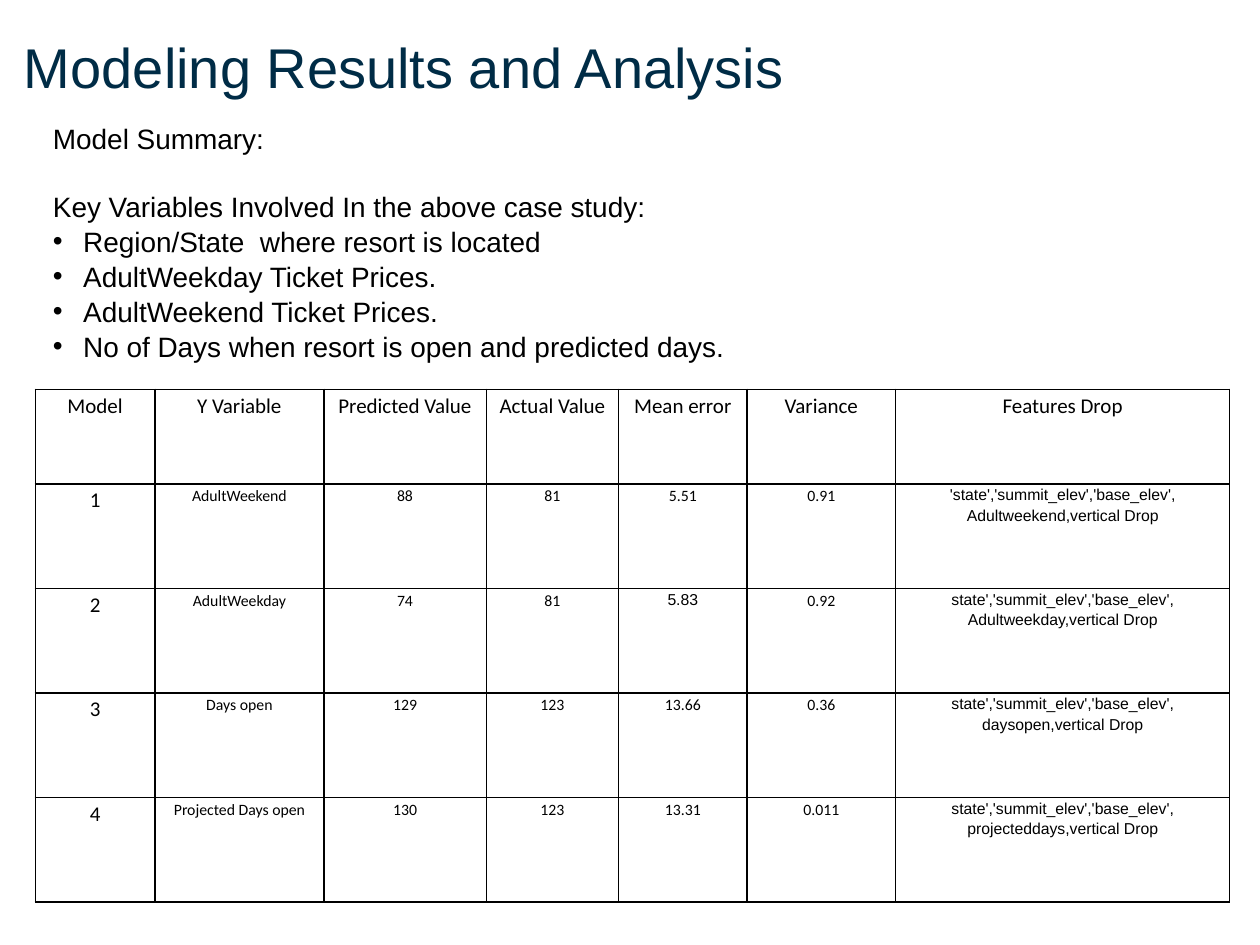
from lxml.etree import SubElement
from pptx import Presentation
from pptx.dml.color import RGBColor
from pptx.enum.text import MSO_ANCHOR, MSO_AUTO_SIZE, PP_ALIGN
from pptx.oxml.ns import qn
from pptx.util import Inches, Pt

NAVY = RGBColor(0x00, 0x2C, 0x46)
BLACK = RGBColor(0x00, 0x00, 0x00)

HEADINGS = ["Model Summary:", "Key Variables Involved In the above case study:"]
VARIABLES = [
    "Region/State  where resort is located",
    "AdultWeekday Ticket Prices.",
    "AdultWeekend Ticket Prices.",
    "No of Days when resort is open and predicted days.",
]
COLUMN_WIDTHS = [0.95, 1.34, 1.29, 1.05, 1.02, 1.18, 2.65]
ROW_HEIGHTS = [0.75] + [0.83] * 4
ELEVATIONS = "state','summit_elev','base_elev',"
RESULTS = [
    ["Model", "Y Variable", "Predicted Value", "Actual Value", "Mean error",
     "Variance", "Features Drop"],
    ["1", "AdultWeekend", "88", "81", "5.51", "0.91",
     f"'{ELEVATIONS}\nAdultweekend,vertical Drop"],
    ["2", "AdultWeekday", "74", "81", "5.83", "0.92",
     f"{ELEVATIONS}\nAdultweekday,vertical Drop"],
    ["3", "Days open", "129", "123", "13.66", "0.36",
     f"{ELEVATIONS}\ndaysopen,vertical Drop"],
    ["4", "Projected Days open", "130", "123", "13.31", "0.011",
     f"{ELEVATIONS}\nprojecteddays,vertical Drop"],
]
CELL_FORMAT = {
    "margin_left": Inches(0.07), "margin_right": Inches(0.07),
    "margin_top": 0, "margin_bottom": 0,
    "vertical_anchor": MSO_ANCHOR.TOP,
}


def style_paragraph(paragraph, font_name, size, color, align, spacing):
    """Set the font, alignment and line spacing of a paragraph."""
    paragraph.alignment = align
    paragraph.line_spacing = spacing
    paragraph.space_before = paragraph.space_after = Pt(0)
    for run in paragraph.runs:
        run.font.name = font_name
        run.font.size = Pt(size)
        run.font.color.rgb = color


def add_borders(cell):
    """Draw a thin black line on each side of a table cell."""
    properties = cell._tc.get_or_add_tcPr()
    for position, side in enumerate(("a:lnL", "a:lnR", "a:lnT", "a:lnB")):
        line = properties.makeelement(qn(side), {"w": str(Pt(1))})
        solid = SubElement(line, qn("a:solidFill"))
        SubElement(solid, qn("a:srgbClr"), val=str(BLACK))
        properties.insert(position, line)


prs = Presentation()
prs.slide_width, prs.slide_height = Inches(10), Inches(7.5)
slide = prs.slides.add_slide(prs.slide_layouts[1])

# Title
title = slide.shapes.title
summary = slide.placeholders[1]
for placeholder, box in ((title, (0.19, 0.26, 9.62, 0.33)),
                         (summary, (0.32, 0.9, 9.44, 2.26))):
    placeholder.left, placeholder.top, placeholder.width, placeholder.height = map(Inches, box)
    placeholder.text_frame.auto_size = MSO_AUTO_SIZE.NONE
    placeholder.text_frame.vertical_anchor = MSO_ANCHOR.TOP

title_frame = title.text_frame
title_frame.text = "Modeling Results and Analysis"
for side in ("left", "top", "right", "bottom"):
    setattr(title_frame, f"margin_{side}", 0)
style_paragraph(title_frame.paragraphs[0], "Arial", 32, NAVY, PP_ALIGN.LEFT, 1.0)

# Summary headings and bulleted variables
summary_frame = summary.text_frame
summary_frame.text = "\n".join(HEADINGS + VARIABLES)
for index, paragraph in enumerate(summary_frame.paragraphs):
    style_paragraph(paragraph, "Arial", 16, BLACK, PP_ALIGN.LEFT, 1.04)
    bulleted = index >= len(HEADINGS)
    indent = Inches(0.24) if bulleted else 0
    properties = paragraph._p.get_or_add_pPr()
    properties.set("marL", str(indent))
    properties.set("indent", str(-indent))
    if bulleted:
        SubElement(properties, qn("a:buFont"), typeface="Arial")
        SubElement(properties, qn("a:buChar"), char="•")
    else:
        SubElement(properties, qn("a:buNone"))
summary_frame.paragraphs[1].space_before = Pt(19.2)

# Results table
results = slide.shapes.add_table(
    len(ROW_HEIGHTS), len(COLUMN_WIDTHS), Inches(0.28), Inches(3.09),
    Inches(sum(COLUMN_WIDTHS)), Inches(sum(ROW_HEIGHTS))).table
results.first_row = results.horz_banding = False
for column, width in zip(results.columns, COLUMN_WIDTHS):
    column.width = Inches(width)
for row, height in zip(results.rows, ROW_HEIGHTS):
    row.height = Inches(height)

for row_index, values in enumerate(RESULTS):
    for column_index, value in enumerate(values):
        cell = results.cell(row_index, column_index)
        cell.text = value
        for name, setting in CELL_FORMAT.items():
            setattr(cell, name, setting)
        cell.fill.background()
        add_borders(cell)
        size = 12 if row_index == 0 or column_index == 0 else 9
        in_arial = value == "5.83" or (row_index > 0 and column_index == 6)
        for paragraph in cell.text_frame.paragraphs:
            style_paragraph(paragraph, "Arial" if in_arial else "Calibri",
                            size, BLACK, PP_ALIGN.CENTER, 1.15)

prs.save("out.pptx")
